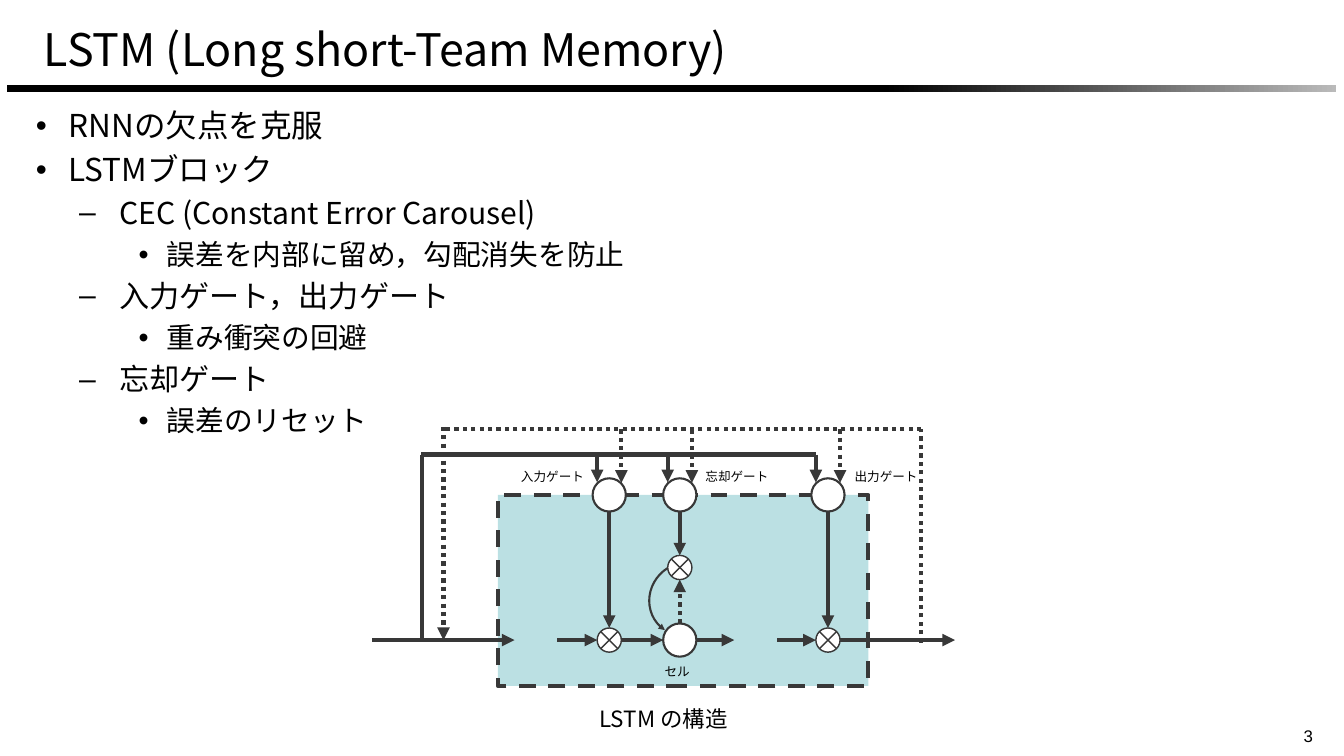
from lxml.etree import SubElement
from pptx import Presentation
from pptx.dml.color import RGBColor
from pptx.enum.dml import MSO_LINE
from pptx.enum.shapes import MSO_CONNECTOR, MSO_SHAPE
from pptx.enum.text import MSO_ANCHOR, PP_ALIGN
from pptx.oxml.ns import qn
from pptx.util import Pt

SCALE = 9144
SANS = "Noto Sans CJK JP"
INK, DARK, WHITE, TEAL = "000000", "383838", "FFFFFF", "BBE0E3"
LEVELS = [(69, -65, "•", 45), (170, -80, "–", 43), (264, -56, "•", 41)]
POINTS = [
    (0, "RNNの欠点を克服"),
    (0, "LSTMブロック"),
    (1, "CEC (Constant Error Carousel)"),
    (2, "誤差を内部に留め，勾配消失を防止"),
    (1, "入力ゲート，出力ゲート"),
    (2, "重み衝突の回避"),
    (1, "忘却ゲート"),
    (2, "誤差のリセット"),
]


def px(*nums):
    """Turn px lengths into EMU."""
    return [round(num * SCALE) for num in nums]


def tint(code):
    """Turn a hex string into a colour."""
    return RGBColor.from_string(code)


def write(para, text, size, face=SANS):
    """Fill a paragraph with text in one font."""
    para.text = text
    font = para.font
    font.size = Pt(size)
    font.name = face
    font.color.rgb = tint(INK)
    SubElement(para._p.pPr.find(qn("a:defRPr")), qn("a:ea"), typeface=face)


def pad(frame, inset, anchor=MSO_ANCHOR.TOP):
    """Set wrapping, margins and anchor of a text frame."""
    frame.word_wrap = True
    frame.vertical_anchor = anchor
    frame.margin_left, frame.margin_top = px(inset, inset)
    frame.margin_right, frame.margin_bottom = px(inset, inset)


def label(shapes, box, text, size, align=PP_ALIGN.LEFT, face=SANS):
    """Add a one-line text box."""
    frame = shapes.add_textbox(*px(*box)).text_frame
    pad(frame, 10)
    para = frame.paragraphs[0]
    para.alignment = align
    write(para, text, size, face)


def form(shapes, kind, box, fill=WHITE, width=3):
    """Add an outlined preset shape, unfilled when fill is None."""
    shape = shapes.add_shape(kind, *px(*box))
    shape.shadow.inherit = False
    if fill:
        shape.fill.solid()
        shape.fill.fore_color.rgb = tint(fill)
    else:
        shape.fill.background()
    shape.line.color.rgb = tint(DARK)
    shape.line.width = Pt(width)
    return shape


def node(shapes, kind, mid, size, width):
    """Add a shape centred on a point."""
    x, y = mid
    form(shapes, kind, (x - size / 2, y - size / 2, size, size), WHITE, width)


def wire(shapes, start, end, dots=False, tip=True):
    """Add a straight line with an optional arrowhead."""
    line = shapes.add_connector(MSO_CONNECTOR.STRAIGHT, *px(*start, *end))
    line.line.color.rgb = tint(DARK)
    line.line.width = Pt(6)
    if dots:
        line.line.dash_style = MSO_LINE.ROUND_DOT
    if tip:
        SubElement(line.line._get_or_add_ln(), qn("a:tailEnd"), type="triangle")
    SubElement(line._element.spPr, qn("a:effectLst"))


def head(slide, box):
    """Place the title and the fading rule under it."""
    left, top, width, height = box
    title = slide.shapes.title
    title.left, title.top, title.width, title.height = px(left + 73, top, 2193, 165)
    pad(title.text_frame, 0, MSO_ANCHOR.MIDDLE)
    para = title.text_frame.paragraphs[0]
    para.alignment = PP_ALIGN.LEFT
    write(para, "LSTM (Long short-Team Memory)", 64)
    rule = slide.shapes.add_shape(
        MSO_SHAPE.RECTANGLE, *px(left, top + height - 14, width, 14))
    rule.shadow.inherit = False
    rule.line.fill.background()
    rule.fill.gradient()
    rule.fill.gradient_angle = 0
    for stop, spot, code in zip(rule.fill.gradient_stops, (0.66, 1), (INK, "BABABA")):
        stop.position = spot
        stop.color.rgb = tint(code)


def body(slide, box):
    """Place the bullet list."""
    frame = slide.shapes.add_textbox(*px(*box)).text_frame
    pad(frame, 11)
    for spot, (level, text) in enumerate(POINTS):
        para = frame.add_paragraph() if spot else frame.paragraphs[0]
        left, hang, mark, size = LEVELS[level]
        para.level = level
        para.line_spacing = 0.9
        para.space_before = Pt(14 if spot else 0)
        props = para._p.get_or_add_pPr()
        props.set("marL", str(left * SCALE))
        props.set("indent", str(hang * SCALE))
        SubElement(props, qn("a:buFont"), typeface="Arial")
        SubElement(props, qn("a:buChar"), char=mark)
        write(para, text, size)


def block(slide, box):
    """Draw the LSTM block and its wiring."""
    left, top, width, _ = box
    shapes = slide.shapes.add_group_shape().shapes

    def at(x, y):
        return left + x, top + y

    def link(x1, y1, x2, y2, **style):
        wire(shapes, at(x1, y1), at(x2, y2), **style)

    gates = into, keep, out = 470, 610, 904
    rim, flow, mix, rail, loop = 135, 423, 279, 55, 5
    big, small = 33, 24
    frame = form(shapes, MSO_SHAPE.RECTANGLE, (*at(249, rim), 735, 379), TEAL, 6)
    frame.line.dash_style = MSO_LINE.DASH
    for x, y in ((into, flow), (keep, mix), (out, flow)):
        node(shapes, MSO_SHAPE.FLOWCHART_SUMMING_JUNCTION, at(x, y), 2 * small, 2)
        node(shapes, MSO_SHAPE.OVAL, at(x, rim), 2 * big, 3)
        link(x, rim + big, x, y - small)
    node(shapes, MSO_SHAPE.OVAL, at(keep, flow), 2 * big, 3)
    for x1, x2 in ((0, 282), (367, into - small), (into + small, keep - big),
                   (keep + big, 718), (803, out - small), (out + small, width)):
        link(x1, flow, x2, flow)
    link(keep, flow - big, keep, mix + small, dots=True)

    arc = form(shapes, MSO_SHAPE.ARC, (*at(551, 267), 142, 149), None)
    arc.rotation = 223.5
    arc.adjustments[0], arc.adjustments[1] = 156.28, 9.49
    SubElement(arc.line._get_or_add_ln(), qn("a:headEnd"), type="triangle")

    link(99, flow, 99, rail, tip=False)
    link(out - small, rail, 96, rail, tip=False)
    link(1089, flow + 5, 1089, loop, dots=True, tip=False)
    link(1089, loop, 141, loop, dots=True, tip=False)
    link(141, 0, 141, flow, dots=True)
    for x in gates:
        link(x - small, rail, x - small, 110)
        link(x + small, loop, x + small, 111, dots=True)
    for x, y, wide, text in ((285, 73, 150, "入力ゲート"), (651, 73, 179, "忘却ゲート"),
                             (947, 73, 154, "出力ゲート"), (570, 460, 77, "セル")):
        label(shapes, (*at(x, y), wide, 50), text, 18)


def main():
    """Build and save the slide."""
    deck = Presentation()
    deck.slide_width, deck.slide_height = px(2667, 1500)
    slide = deck.slides.add_slide(deck.slide_layouts[5])
    head(slide, (14, 14, 2638, 168))
    body(slide, (56, 208, 2602, 1285))
    label(slide.shapes, (982, 1389, 669, 74), "LSTM の構造", 32, PP_ALIGN.CENTER)
    block(slide, (739, 847, 1156, 514))
    label(slide.shapes, (2577, 1429, 58, 58), "3", 24, face="Arial")
    deck.save("out.pptx")


if __name__ == "__main__":
    main()
